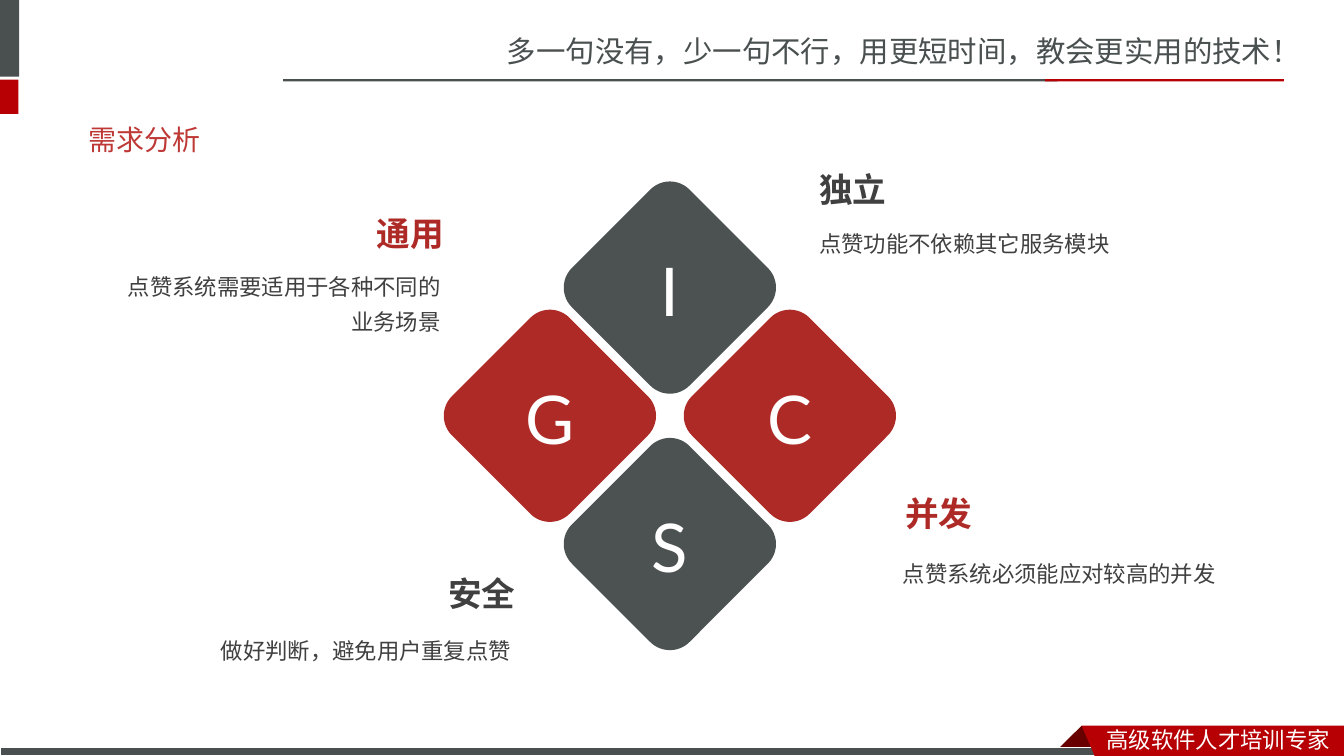
from pptx import Presentation
from pptx.dml.color import RGBColor
from pptx.enum.shapes import MSO_SHAPE as Preset
from pptx.enum.text import MSO_ANCHOR as Anchor, PP_ALIGN as Align
from pptx.oxml.ns import qn
from pptx.util import Pt
from lxml.etree import SubElement

COLORS = {
    "slate": "49504F", "crimson": "B60004", "fold": "680000",
    "gray": "4C5252", "red": "AD2A26", "title": "BE3936",
    "ink": "404040", "white": "FFFFFF",
}
CJK = "Noto Sans CJK SC"
CENTER_X, CENTER_Y = 478.5, 297
STEP_X, STEP_Y = 85.7, 91.6
DIAMOND = 118.8
CAPTION_WIDTH = 240.5

QUALITIES = [
    ("I", 0, -1, "gray"),
    ("C", 1, 0, "red"),
    ("S", 0, 1, "gray"),
    ("G", -1, 0, "red"),
]
CAPTIONS = [
    ("独立", "点赞功能不依赖其它服务模块", "ink", Align.LEFT, (578.2, 117.4), (578.2, 154.8)),
    ("并发", "点赞系统必须能应对较高的并发", "red", Align.LEFT, (639.4, 348.5), (637.9, 391)),
    ("安全", "做好判断，避免用户重复点赞", "ink", Align.RIGHT, (216.7, 405.4), (131.8, 445.7)),
    ("通用", "点赞系统需要适用于各种不同的业务场景", "red", Align.RIGHT, (165.6, 148.3), (81.4, 185.8)),
]


def color(name):
    """Return the named colour."""
    return RGBColor.from_string(COLORS[name])


def paint(shape, fill):
    """Give a shape a flat fill without outline or shadow."""
    shape.shadow.inherit = False
    shape.fill.solid()
    shape.fill.fore_color.rgb = color(fill)
    shape.line.fill.background()


def add_bar(slide, left, top, width, height, fill):
    """Add a plain rectangle."""
    bar = slide.shapes.add_shape(Preset.RECTANGLE, Pt(left), Pt(top), Pt(width), Pt(height))
    paint(bar, fill)
    return bar


def add_outline(slide, points, fill):
    """Add a filled polygon through the points."""
    start, *others = [(Pt(x), Pt(y)) for x, y in points]
    builder = slide.shapes.build_freeform(*start)
    builder.add_line_segments(others, close=True)
    paint(builder.convert_to_shape(), fill)


def add_text(slide, left, top, width, height, words, size, ink, font="Lato",
             align=Align.LEFT, bold=False, spacing=None, anchor=Anchor.TOP):
    """Add a wrapping text box with one run."""
    box = slide.shapes.add_textbox(Pt(left), Pt(top), Pt(width), Pt(height))
    frame = box.text_frame
    frame.word_wrap = True
    frame.vertical_anchor = anchor
    paragraph = frame.paragraphs[0]
    paragraph.alignment = align
    if spacing:
        paragraph.line_spacing = spacing
    run = paragraph.add_run()
    run.text = words
    run.font.size = Pt(size)
    run.font.name = font
    run.font.bold = bold
    run.font.color.rgb = color(ink)
    SubElement(run.font._element, qn("a:ea"), typeface=CJK)


def add_header(slide):
    """Add the corner blocks, the slogan and its rule."""
    add_text(slide, 355, 20.2, 605, 33.8, "多一句没有，少一句不行，用更短时间，教会更实用的技术！",
             21, "slate", CJK)
    add_bar(slide, 0, 0, 13.7, 54.7, "slate")
    add_bar(slide, 0, 56.9, 13.2, 24.5, "crimson")
    add_bar(slide, 202.3, 56.6, 553, 1.6, "slate")
    add_bar(slide, 746.6, 56.6, 170.6, 1.6, "crimson")


def add_footer(slide):
    """Add the bottom band and the folded ribbon."""
    add_outline(slide, [(772.6, 518.4), (788.4, 534.2), (788, 535), (757.4, 535), (756.7, 534.2)], "fold")
    band = add_bar(slide, 0, 533.8, 791.3, 6.2, "slate")
    band.line.color.rgb = color("white")
    band.line.width = Pt(0.75)
    add_outline(slide, [(772.6, 518.4), (960, 518.4), (960, 540), (781.9, 540)], "crimson")
    add_text(slide, 783.4, 514.8, 176.6, 26.6, "高级软件人才培训专家", 16, "white", CJK)


def add_quality(slide, letter, column, row, fill):
    """Add a rounded diamond with its upright letter."""
    x, y = CENTER_X + column * STEP_X, CENTER_Y + row * STEP_Y
    diamond = slide.shapes.add_shape(Preset.ROUNDED_RECTANGLE, Pt(x - DIAMOND / 2),
                                     Pt(y - DIAMOND / 2), Pt(DIAMOND), Pt(DIAMOND))
    diamond.rotation = 45
    paint(diamond, fill)
    add_text(slide, x - 30, y - 31.2, 60, 65.5, letter, 48, "white", align=Align.CENTER)


def add_caption(slide, heading, detail, ink, align, heading_at, detail_at):
    """Add a heading with its explanation."""
    add_text(slide, *heading_at, 158.4, 36, heading, 24, ink, align=align, bold=True)
    add_text(slide, *detail_at, CAPTION_WIDTH, 30.2, detail, 16, "ink", align=align, spacing=1.3)


def main():
    """Build and save the slide."""
    deck = Presentation()
    deck.slide_width, deck.slide_height = Pt(960), Pt(540)
    slide = deck.slides.add_slide(deck.slide_layouts[6])
    add_header(slide)
    add_footer(slide)
    add_text(slide, 56.2, 79.2, 842.4, 41, "需求分析", 20, "title", "Calibri", anchor=Anchor.MIDDLE)
    for quality in QUALITIES:
        add_quality(slide, *quality)
    for caption in CAPTIONS:
        add_caption(slide, *caption)
    deck.save("out.pptx")


if __name__ == "__main__":
    main()
